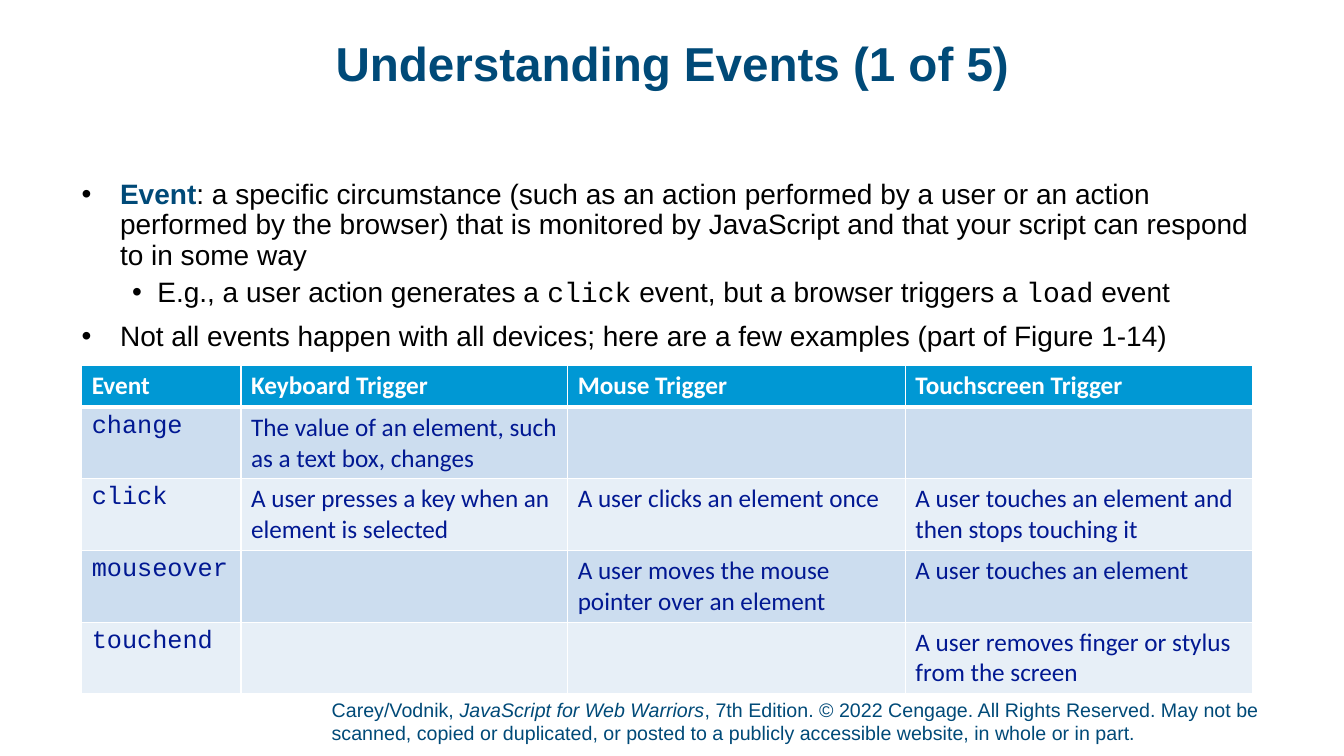
from dataclasses import dataclass

from lxml.etree import SubElement
from pptx import Presentation
from pptx.dml.color import RGBColor
from pptx.enum.text import MSO_ANCHOR, MSO_AUTO_SIZE, PP_ALIGN
from pptx.oxml.ns import qn
from pptx.util import Emu, Inches, Pt


@dataclass(frozen=True)
class Theme:
    navy: str = "004A78"
    black: str = "000000"
    white: str = "FFFFFF"
    ink: str = "011892"
    head: str = "0098D4"
    bands: tuple = ("CCDDEF", "E7EFF7")
    sans: str = "Arial"
    mono: str = "Courier New"
    grid: str = "Calibri"
    title: int = 34
    body: int = 20
    cell: int = 18
    foot: int = 14


def write(par, text, font, size, color, bold=False, italic=False):
    run = par.add_run()
    run.text = text
    face = run.font
    face.name, face.size, face.bold, face.italic = font, Pt(size), bold, italic
    face.color.rgb = RGBColor.from_string(color)


def tint(parent, color):
    """Append a colour value to an XML element."""
    SubElement(parent, qn("a:srgbClr"), val=color)


class Page:
    """A slide laid out on a grid of 100 columns by 100 rows."""

    def __init__(self, deck, theme):
        self.theme = theme
        self.col = deck.slide_width / 100
        self.row = deck.slide_height / 100
        self.slide = deck.slides.add_slide(deck.slide_layouts[1])

    def span(self, left, top, width, height):
        return (Emu(round(left * self.col)), Emu(round(top * self.row)),
                Emu(round(width * self.col)), Emu(round(height * self.row)))

    def frame(self, shape, area, anchor=MSO_ANCHOR.TOP, base=0):
        """Place a text shape and return its bare text frame."""
        shape.left, shape.top, shape.width, shape.height = self.span(*area)
        frame = shape.text_frame
        frame.word_wrap = True
        frame.auto_size = MSO_AUTO_SIZE.NONE
        frame.vertical_anchor = anchor
        frame.margin_left = frame.margin_right = frame.margin_top = 0
        frame.margin_bottom = Inches(base)
        return frame

    def title(self, text, area):
        look = self.theme
        par = self.frame(self.slide.shapes.title, area).paragraphs[0]
        par.alignment = PP_ALIGN.CENTER
        par.line_spacing = 0.9
        write(par, text, look.sans, look.title, look.navy, bold=True)

    def bullet(self, par, level):
        indent, hang = ((0.38, 0.38), (0.75, 0.25))[level]
        par.level = level
        props = par._p.get_or_add_pPr()
        props.set("marL", str(Inches(indent)))
        props.set("indent", str(-Inches(hang)))
        tint(SubElement(props, qn("a:buClr")), self.theme.black)
        SubElement(props, qn("a:buFont"), typeface=self.theme.sans)
        SubElement(props, qn("a:buChar"), char="•")

    def points(self, items, area):
        """Fill the body with (level, runs); a run is (text, style)."""
        look = self.theme
        styles = {
            "plain": dict(font=look.sans, color=look.black),
            "code": dict(font=look.mono, color=look.black),
            "term": dict(font=look.sans, color=look.navy, bold=True),
        }
        frame = self.frame(self.slide.placeholders[1], area)
        for order, (level, runs) in enumerate(items):
            par = frame.add_paragraph() if order else frame.paragraphs[0]
            self.bullet(par, level)
            par.line_spacing = 0.9
            par.space_before = Pt((10, 5)[level] if order else 0)
            for text, style in runs:
                write(par, text, size=look.body, **styles[style])

    def cell(self, cell, text, fill, base=1, **style):
        props = cell._tc.get_or_add_tcPr()
        for side, width in (("L", 1), ("R", 1), ("T", 1), ("B", base)):
            line = SubElement(props, qn("a:ln" + side), w=str(Pt(width)))
            tint(SubElement(line, qn("a:solidFill")), self.theme.white)
        cell.fill.solid()
        cell.fill.fore_color.rgb = RGBColor.from_string(fill)
        if text:
            write(cell.text_frame.paragraphs[0], text,
                  size=self.theme.cell, **style)

    def table(self, rows, left, top, widths, heights):
        look = self.theme
        area = self.span(left, top, sum(widths), sum(heights))
        table = self.slide.shapes.add_table(
            len(rows), len(widths), *area).table
        table.horz_banding = False
        for column, width in zip(table.columns, widths):
            column.width = Emu(round(width * self.col))
        for line, height in zip(table.rows, heights):
            line.height = Emu(round(height * self.row))
        for r, texts in enumerate(rows):
            for c, text in enumerate(texts):
                if r == 0:
                    style = dict(fill=look.head, base=3, font=look.grid,
                                 color=look.white, bold=True)
                else:
                    style = dict(fill=look.bands[(r - 1) % 2], color=look.ink,
                                 font=look.grid if c else look.mono)
                self.cell(table.cell(r, c), text, **style)

    def footer(self, runs, area):
        look = self.theme
        box = self.slide.shapes.add_textbox(*self.span(*area))
        par = self.frame(box, area, MSO_ANCHOR.BOTTOM, 0.05).paragraphs[0]
        for text, italic in runs:
            write(par, text, look.sans, look.foot, look.navy, italic=italic)


POINTS = [
    (0, [("Event", "term"),
         (": a specific circumstance (such as an action performed by a user "
          "or an action performed by the browser) that is monitored by "
          "JavaScript and that your script can respond to in some way",
          "plain")]),
    (1, [("E.g., a user action generates a ", "plain"), ("click", "code"),
         (" event, but a browser triggers a ", "plain"), ("load", "code"),
         (" event", "plain")]),
    (0, [("Not all events happen with all devices; here are a few examples "
          "(part of Figure 1-14)", "plain")]),
]

EVENTS = [
    ("Event", "Keyboard Trigger", "Mouse Trigger", "Touchscreen Trigger"),
    ("change", "The value of an element, such as a text box, changes", "", ""),
    ("click", "A user presses a key when an element is selected",
     "A user clicks an element once",
     "A user touches an element and then stops touching it"),
    ("mouseover", "", "A user moves the mouse pointer over an element",
     "A user touches an element"),
    ("touchend", "", "", "A user removes finger or stylus from the screen"),
]

CREDIT = [
    ("Carey/Vodnik, ", False),
    ("JavaScript for Web Warriors", True),
    (", 7th Edition. © 2022 Cengage. All Rights Reserved. May not be scanned, "
     "copied or duplicated, or posted to a publicly accessible website, in "
     "whole or in part.", False),
]


def main():
    deck = Presentation()
    deck.slide_width, deck.slide_height = Inches(13.33), Inches(7.5)
    page = Page(deck, Theme())
    left = 6.08
    page.footer(CREDIT, (24.68, 92.27, 73.44, 6.93))
    page.title("Understanding Events (1 of 5)", (6.9, 5.33, 86.27, 9.87))
    page.points(POINTS, (left, 23.87, 87.85, 26.13))
    page.table(EVENTS, left, 48.4, widths=(11.85, 24.31, 25.13, 25.8),
               heights=(5.47, *[9.33] * 4))
    deck.save("out.pptx")


if __name__ == "__main__":
    main()
